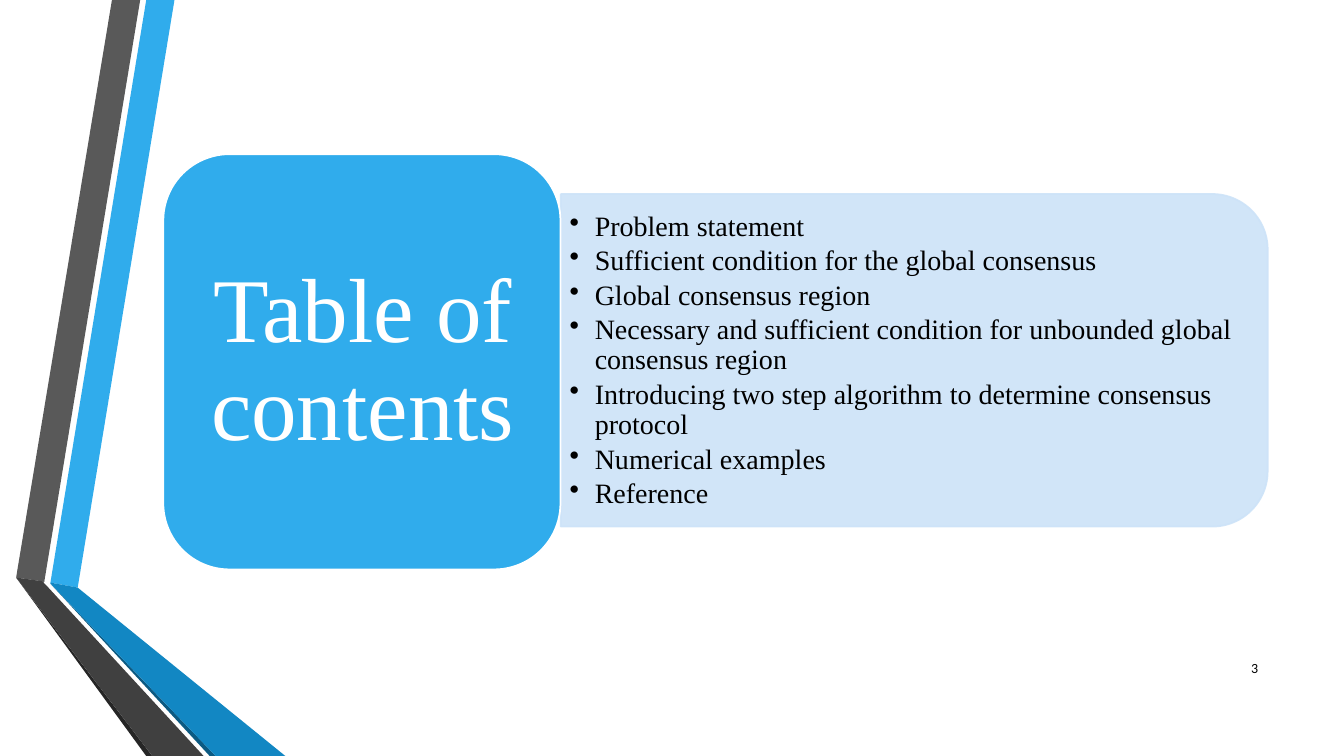
from dataclasses import dataclass

from lxml import etree
from pptx import Presentation
from pptx.dml.color import RGBColor
from pptx.enum.shapes import MSO_SHAPE
from pptx.enum.text import MSO_ANCHOR, MSO_AUTO_SIZE, PP_ALIGN
from pptx.oxml.ns import qn
from pptx.util import Inches, Pt

ROUND_RECT = MSO_SHAPE.ROUNDED_RECTANGLE
ROUND_TOP = MSO_SHAPE.ROUND_2_SAME_RECTANGLE
MIDDLE = MSO_ANCHOR.MIDDLE
NO_AUTOFIT = MSO_AUTO_SIZE.NONE
LEFT, CENTER, RIGHT = PP_ALIGN.LEFT, PP_ALIGN.CENTER, PP_ALIGN.RIGHT

SLIDE_W, SLIDE_H = Inches(13.33), Inches(7.5)
SERIF, SANS = "Times New Roman", "Calibri"
BLUE, PALE_BLUE, WHITE, BLACK = "30ACEC", "CDE3F8", "FFFFFF", "000000"


@dataclass(frozen=True)
class Box:
    """A frame in percent of the slide's width and height."""
    left: float
    top: float
    width: float
    height: float

    def emu(self) -> tuple[int, int, int, int]:
        return (across(self.left), down(self.top),
                across(self.width), down(self.height))


@dataclass(frozen=True)
class Ribbon:
    """A polygon whose points are percent of the slide's size."""
    color: str
    points: tuple[tuple[float, float], ...]


@dataclass(frozen=True)
class Panel:
    kind: int
    box: Box
    fill: str
    line: str
    rotation: int = 0
    opacity: int = 100


@dataclass(frozen=True)
class TextStyle:
    font: str
    size: int
    color: str
    align: int
    inset: tuple[float, float]
    spacing: float = 1.0
    after: int = 0
    bullet: str = ""


RIBBONS = [
    Ribbon(BLUE, ((3.75, 77.07), (5.78, 77.73), (12.98, 0), (10.88, 0))),
    Ribbon("595959", ((10.43, 0), (8.33, 0), (1.2, 76.4), (3.3, 76.93))),
    Ribbon("262626", ((1.2, 76.4), (10.88, 100), (11.33, 100))),
    Ribbon("0C5A82", ((3.75, 77.2), (15.6, 100), (16.05, 100))),
    Ribbon("1287C3", ((3.75, 77.2), (16.05, 100), (21.23, 100),
                      (5.78, 77.73), (3.75, 77.07))),
    Ribbon("404040", ((15.15, 100), (3.6, 77.73), (3.23, 77.07),
                      (3.3, 76.93), (1.2, 76.4), (11.33, 100))),
]

PANELS = [
    Panel(ROUND_TOP, Box(55.65, 0.93, 24.75, 93.47), PALE_BLUE, PALE_BLUE, 90, 90),
    Panel(ROUND_RECT, Box(12.15, 20.4, 29.55, 54.93), BLUE, WHITE),
]

TOPICS = [
    "Problem statement",
    "Sufficient condition for the global consensus",
    "Global consensus region",
    "Necessary and sufficient condition for unbounded global consensus region",
    "Introducing two step algorithm to determine consensus protocol",
    "Numerical examples",
    "Reference",
]

TITLE_BOX = Box(13.65, 22.93, 26.7, 49.87)
TOPICS_BOX = Box(41.78, 27.87, 51.38, 39.73)
NUMBER_BOX = Box(89.85, 85.73, 4.5, 5.33)

TITLE_STYLE = TextStyle(SERIF, 65, WHITE, CENTER, (0.27, 0.14), 0.9)
TOPICS_STYLE = TextStyle(SERIF, 20, BLACK, LEFT, (0.08, 0.04), 0.9, 3, "•")
NUMBER_STYLE = TextStyle(SANS, 10, BLACK, RIGHT, (0.1, 0.05))


def across(percent: float) -> int:
    return round(SLIDE_W * percent / 100)


def down(percent: float) -> int:
    return round(SLIDE_H * percent / 100)


def rgb(color: str) -> RGBColor:
    return RGBColor.from_string(color)


def paint(shape, fill: str) -> None:
    shape.shadow.inherit = False
    shape.fill.solid()
    shape.fill.fore_color.rgb = rgb(fill)


def draw_ribbon(slide, ribbon: Ribbon) -> None:
    start, *rest = [(across(x), down(y)) for x, y in ribbon.points]
    builder = slide.shapes.build_freeform(*start)
    builder.add_line_segments(rest, close=True)
    shape = builder.convert_to_shape()
    paint(shape, ribbon.color)
    shape.line.fill.background()


def draw_panel(slide, panel: Panel) -> None:
    shape = slide.shapes.add_shape(panel.kind, *panel.box.emu())
    paint(shape, panel.fill)
    shape.rotation = panel.rotation
    shape.line.color.rgb = rgb(panel.line)
    shape.line.width = Pt(1.25)
    if panel.opacity < 100:
        for color in shape.element.spPr.iter(qn("a:srgbClr")):
            etree.SubElement(color, qn("a:alpha"), val=str(panel.opacity * 1000))


def add_bullet(paragraph, bullet: str) -> None:
    properties = paragraph._p.get_or_add_pPr()
    properties.set("marL", str(Inches(0.25)))
    properties.set("indent", str(-Inches(0.25)))
    etree.SubElement(properties, qn("a:buChar"), char=bullet)


def write(shape, lines: list[str], style: TextStyle) -> None:
    frame = shape.text_frame
    frame.word_wrap = True
    frame.auto_size = NO_AUTOFIT
    frame.vertical_anchor = MIDDLE
    frame.margin_left = frame.margin_right = Inches(style.inset[0])
    frame.margin_top = frame.margin_bottom = Inches(style.inset[1])
    for index, line in enumerate(lines):
        paragraph = frame.add_paragraph() if index else frame.paragraphs[0]
        paragraph.alignment = style.align
        paragraph.line_spacing = style.spacing
        paragraph.space_after = Pt(style.after)
        if style.bullet:
            add_bullet(paragraph, style.bullet)
        run = paragraph.add_run()
        run.text = line
        run.font.name = style.font
        run.font.size = Pt(style.size)
        run.font.color.rgb = rgb(style.color)


def main() -> None:
    deck = Presentation()
    deck.slide_width, deck.slide_height = SLIDE_W, SLIDE_H
    slide = deck.slides.add_slide(deck.slide_layouts.get_by_name("Title Only"))

    # Folded ribbons along the left edge
    for ribbon in RIBBONS:
        draw_ribbon(slide, ribbon)

    # Title card and topic panel
    for panel in PANELS:
        draw_panel(slide, panel)

    # Title, brought in front of its card
    title = slide.shapes.title
    title.left, title.top, title.width, title.height = TITLE_BOX.emu()
    title.element.getparent().append(title.element)
    write(title, ["Table of contents"], TITLE_STYLE)

    # Topics and slide number
    write(slide.shapes.add_textbox(*TOPICS_BOX.emu()), TOPICS, TOPICS_STYLE)
    write(slide.shapes.add_textbox(*NUMBER_BOX.emu()), ["3"], NUMBER_STYLE)

    deck.save("out.pptx")


if __name__ == "__main__":
    main()
